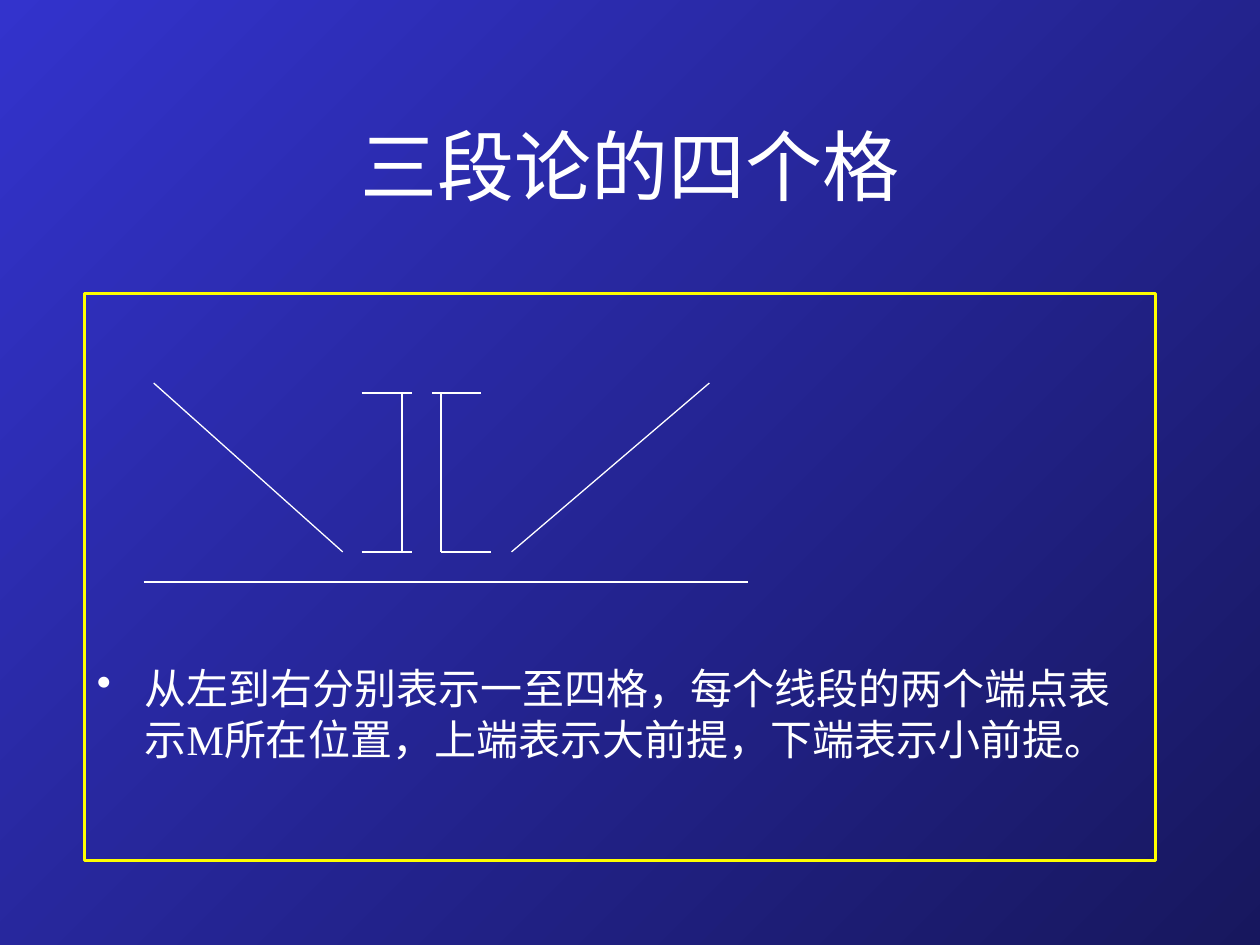
from pptx import Presentation
from pptx.util import Inches, Pt
from pptx.dml.color import RGBColor
from pptx.enum.shapes import MSO_CONNECTOR, MSO_SHAPE
from pptx.enum.text import MSO_ANCHOR, PP_ALIGN
from pptx.oxml.ns import qn
from lxml.etree import SubElement

C = {"light": "3333CC", "dark": "17175E", "frame": "FFFF00", "ink": "FFFFFF"}
FONT = "Times New Roman"
W, H = 10, 7.5


def rgb(name):
    return RGBColor.from_string(C[name])


def add_text(p, text, size):
    r = p.add_run()
    r.text = text
    r.font.name, r.font.size = FONT, Pt(size)
    r.font.color.rgb = rgb("ink")


prs = Presentation()
prs.slide_width, prs.slide_height = Inches(W), Inches(H)
s = prs.slides.add_slide(prs.slide_layouts[6])

# Background: light at top left, dark at bottom right
fill = s.background.fill
fill.gradient()
fill.gradient_angle = 315
for stop, name in zip(fill.gradient_stops, ("light", "dark")):
    stop.color.rgb = rgb(name)

# Title
sp = s.shapes.add_textbox(Inches(0.075 * W), Inches(0.67), Inches(0.85 * W), Inches(1.27))
tf = sp.text_frame
tf.word_wrap = True
tf.vertical_anchor = MSO_ANCHOR.MIDDLE
p = tf.paragraphs[0]
p.alignment = PP_ALIGN.CENTER
add_text(p, "三段论的四个格", 44)

# Frame, with its text set below the diagram
sp = s.shapes.add_shape(MSO_SHAPE.RECTANGLE, Inches(0.67), Inches(2.33),
                        Inches(0.85 * W), Inches(0.6 * H))
sp.shadow.inherit = False
sp.fill.background()
sp.line.color.rgb = rgb("frame")
sp.line.width = Pt(1.5)
tf = sp.text_frame
tf.word_wrap = True
tf.vertical_anchor = MSO_ANCHOR.TOP
tf.margin_top = Inches(2.93)
p = tf.paragraphs[0]
p.alignment = PP_ALIGN.LEFT
pPr = p._p.get_or_add_pPr()
pPr.set("marL", str(Inches(0.38)))
pPr.set("indent", str(-Inches(0.38)))
SubElement(SubElement(pPr, qn("a:buClr")), qn("a:srgbClr")).set("val", C["ink"])
SubElement(pPr, qn("a:buChar")).set("char", "•")
add_text(p, "从左到右分别表示一至四格，每个线段的两个端点表示M所在位置，"
            "上端表示大前提，下端表示小前提。", 24)

# Diagram of the four figures
peak, top, bottom, base = 3.04, 3.12, 4.38, 4.62
lines = [
    (1.22, peak, 2.72, bottom),    # first figure
    (2.87, top, 3.27, top),        # second figure
    (3.19, top, 3.19, bottom),
    (2.87, bottom, 3.27, bottom),
    (3.43, top, 3.82, top),        # third figure
    (3.5, top, 3.5, bottom),
    (3.5, bottom, 3.9, bottom),
    (5.63, peak, 4.06, bottom),    # fourth figure
    (1.14, base, 5.94, base),      # base line
]
for ends in lines:
    cn = s.shapes.add_connector(MSO_CONNECTOR.STRAIGHT, *map(Inches, ends))
    cn.line.color.rgb = rgb("ink")
    cn.line.width = Pt(0.75)
    SubElement(cn._element.spPr, qn("a:effectLst"))

prs.save("out.pptx")
